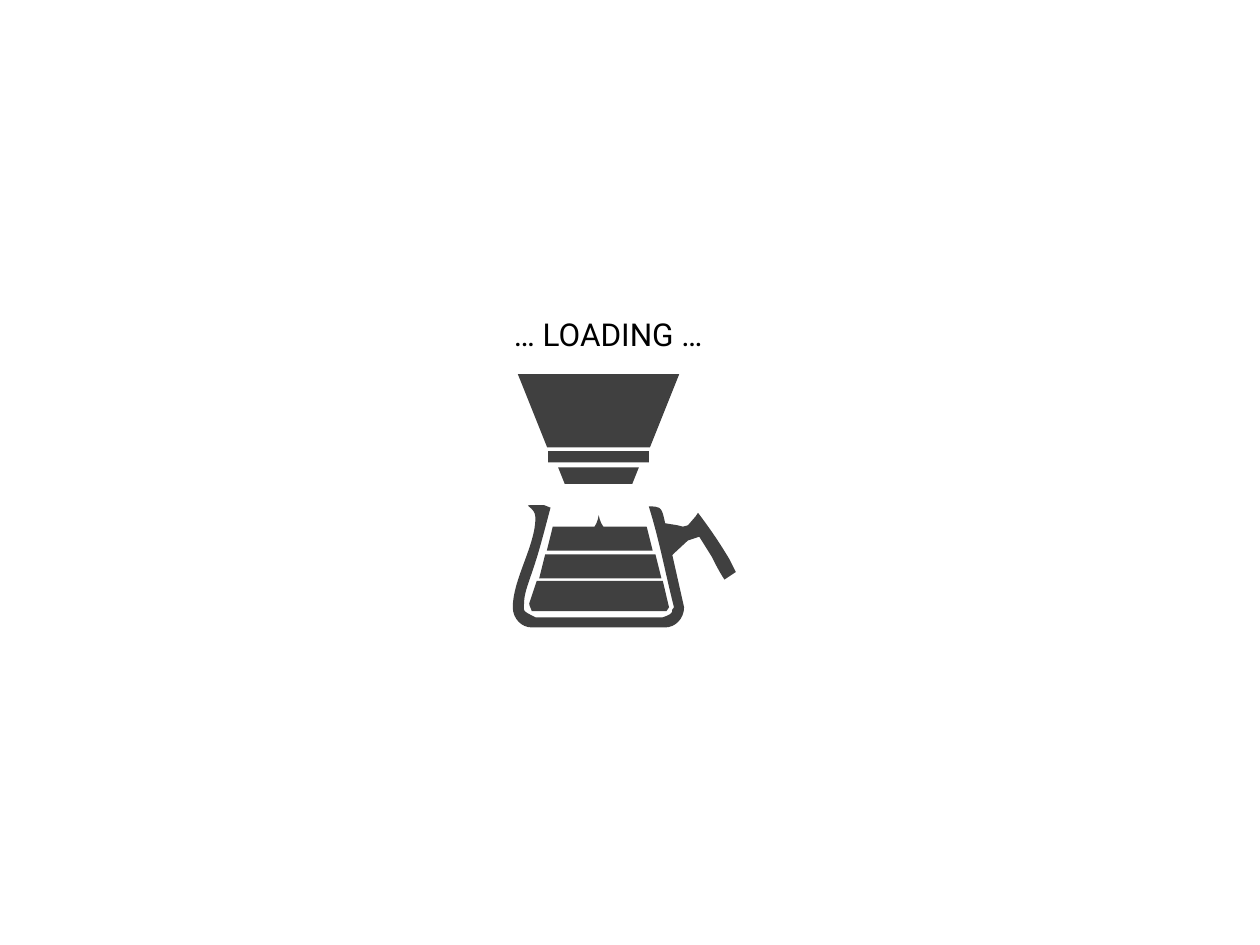
from lxml import etree
from pptx import Presentation
from pptx import util as u
from pptx.dml.color import RGBColor
from pptx.enum import shapes, text
from pptx.oxml import ns

THEME = {
    "coffee": RGBColor.from_string("404040"),
    "paper": RGBColor.from_string("FFFFFF"),
    "ink": RGBColor.from_string("000000"),
    "font": "Roboto",
    "size": u.Pt(18),
}
GRID_COLUMNS = 1000  # square grid cells across the slide width

# Content: positions and sizes in grid cells
CAPTION = ("… LOADING …", (398, 245, 299, 40))

KIND = shapes.MSO_SHAPE
# preset, (left, top, width, height), rotation, adjustment, colour
DRIP = (KIND.TEAR, (468, 418, 15, 15), 313.9, 1.57, "coffee")
DRIPPER = [
    (KIND.RECTANGLE, (411, 318, 132, 65), 0, None, "paper"),
    (KIND.TRAPEZOID, (411, 297, 128, 58), 180, 0.4, "coffee"),
    (KIND.RECTANGLE, (435, 358, 80, 9), 0, None, "coffee"),
    (KIND.TRAPEZOID, (443, 371, 64, 13), 180, 0.4, "coffee"),
]
COFFEE_LAYERS = [
    (KIND.TRAPEZOID, (428, 440, 97, 19), 0, None, "coffee"),
    (KIND.TRAPEZOID, (434, 418, 84, 19), 0, None, "coffee"),
]

# Outlines: a start point, then steps of one point (line) or three (curve)
JUG = [
    [(425, 411)],
    [(425, 402), (414, 401), (422, 401)],
    [(432, 401)],
    [(437, 403)],
    [(435, 410), (429, 434), (425, 446)],
    [(421, 459), (416, 470), (416, 478)],
    [(416, 485), (413, 484), (425, 490)],
    [(526, 490)],
    [(538, 486), (531, 485), (535, 482)],
    [(528, 455), (524, 431), (515, 402)],
    [(523, 402), (525, 402), (527, 411)],
    [(543, 482)],
    [(543, 491), (536, 498), (528, 498)],
    [(422, 498)],
    [(414, 498), (407, 491), (407, 482)],
    [(407, 460), (425, 433), (425, 411)],
]
HANDLE = [
    [(526, 415)],
    [(538, 417)],
    [(542, 418)],
    [(546, 417)],
    [(552, 410)],
    [(554, 407)],
    [(563, 419), (570, 429), (579, 444)],
    [(584, 454)],
    [(575, 460)],
    [(571, 454), (568, 448), (565, 442)],
    [(555, 426)],
    [(546, 429)],
    [(532, 442)],
    [(526, 415)],
]
BOTTOM_LAYER = [
    [(422, 485)],
    [(422, 484), (420, 481), (420, 479)],
    [(426, 461)],
    [(526, 461)],
    [(528, 469), (529, 474), (531, 482)],
    [(529, 485)],
    [(422, 485)],
]

deck = Presentation()
deck.slide_width, deck.slide_height = u.Inches(10), u.Inches(7.5)
slide = deck.slides.add_slide(deck.slide_layouts[6])
cell = deck.slide_width // GRID_COLUMNS


def paint(part, colour):
    part.shadow.inherit = False
    part.fill.solid()
    part.fill.fore_color.rgb = THEME[colour]
    part.line.fill.background()


def add_preset(canvas, preset, box, rotation, adjustment, colour):
    part = canvas.add_shape(preset, *(cell * side for side in box))
    part.rotation = rotation
    if adjustment is not None:
        part.adjustments[0] = adjustment
    paint(part, colour)


def add_outline(canvas, steps):
    (x, y), *rest = [(a * cell, b * cell) for step in steps for a, b in step]
    builder = canvas.build_freeform(x, y)
    builder.add_line_segments(rest, close=True)
    part = builder.convert_to_shape()
    # Join the three lines of each curve step into one Bezier segment
    lines = iter(part.element.findall(".//" + ns.qn("a:lnTo")))
    for step in steps[1:]:
        segment = [next(lines) for _ in step]
        if len(segment) == 3:
            curve = etree.Element(ns.qn("a:cubicBezTo"))
            segment[0].addprevious(curve)
            for line in segment:
                curve.append(line[0])
                line.getparent().remove(line)
    paint(part, "coffee")


# Drip and dripper
add_preset(slide.shapes, *DRIP)
dripper = slide.shapes.add_group_shape()
for item in DRIPPER:
    add_preset(dripper.shapes, *item)

# Jug with its handle
jug = slide.shapes.add_group_shape()
for outline in (JUG, HANDLE):
    add_outline(jug.shapes, outline)

# Coffee
add_outline(slide.shapes, BOTTOM_LAYER)
for item in COFFEE_LAYERS:
    add_preset(slide.shapes, *item)

# Caption
wording, caption_box = CAPTION
caption = slide.shapes.add_textbox(*(cell * side for side in caption_box))
caption.text_frame.word_wrap = False
caption.text_frame.auto_size = text.MSO_AUTO_SIZE.SHAPE_TO_FIT_TEXT
caption.text_frame.text = wording
font = caption.text_frame.paragraphs[0].runs[0].font
font.name, font.size = THEME["font"], THEME["size"]
font.color.rgb = THEME["ink"]

deck.save("out.pptx")
